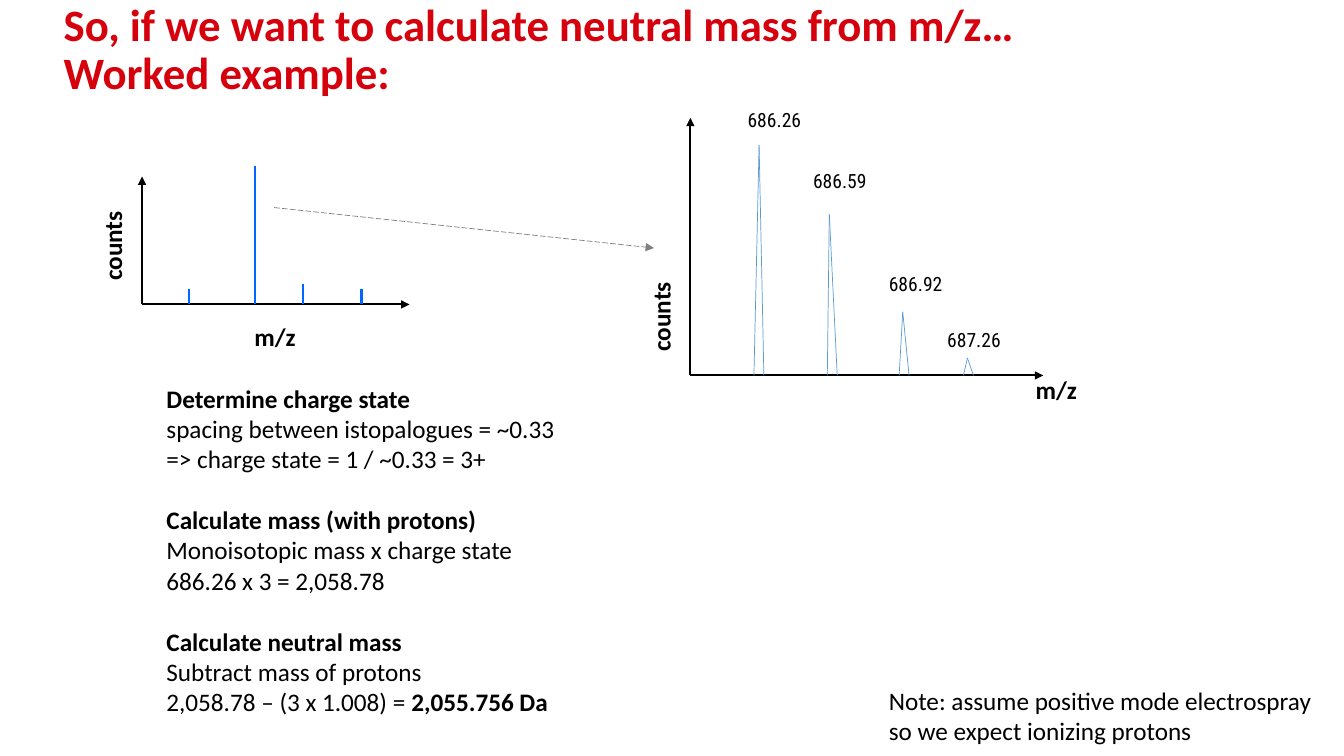
from pptx import Presentation
from pptx.dml.color import RGBColor
from pptx.enum.dml import MSO_LINE_DASH_STYLE as Dash
from pptx.enum.shapes import MSO_CONNECTOR as Link
from pptx.enum.text import MSO_ANCHOR as Anchor, MSO_AUTO_SIZE as Fit, PP_ALIGN as Align
from pptx.oxml.ns import qn
from pptx.util import Cm, Pt
from lxml.etree import SubElement as Sub

BLACK, RED, GREY = "000000", "D6000D", "808080"
BLUE, PALE = "0066FF", "5B9BD5"
PLAIN = {"name": "Calibri", "size": Pt(18), "bold": False}
BOLD = {**PLAIN, "bold": True}
HEAD = {**BOLD, "size": Pt(32)}
TAG = {**PLAIN, "name": "Roboto Condensed", "size": Pt(14)}

# offset from the axis, height
BARS = [(1.19, 0.38), (2.84, 3.48), (4.06, 0.51), (5.53, 0.38)]
# mass, left foot, apex, height, label offset from the plot corner
PEAKS = [
    ("686.26", 1.6, 1.73, 5.8, 1.19, -0.38),
    ("686.59", 3.45, 3.5, 4.06, 2.84, 1.17),
    ("686.92", 5.26, 5.35, 1.6, 4.75, 3.76),
    ("687.26", 6.88, 6.98, 0.44, 6.22, 5.16),
]
FOOT = 0.25
STEPS = [
    ("Determine charge state", "spacing between istopalogues = ~0.33",
     "=> charge state = 1 / ~0.33 = 3+", ""),
    ("Calculate mass (with protons)", "Monoisotopic mass x charge state",
     "686.26 x 3 = 2,058.78", ""),
    ("Calculate neutral mass", "Subtract mass of protons",
     "2,058.78 – (3 x 1.008) = ", "2,055.756 Da"),
]


def paint(hue):
    return RGBColor.from_string(hue)


def place(shape, *box):
    for side, value in zip(("left", "top", "width", "height"), box):
        setattr(shape, side, Cm(value))


def write(para, text, form, hue=BLACK):
    run = para.add_run()
    run.text = text
    for key, value in form.items():
        setattr(run.font, key, value)
    run.font.color.rgb = paint(hue)


def label(slide, text, form, box, wrap=True, turn=0):
    shape = slide.shapes.add_textbox(*map(Cm, box))
    shape.rotation = turn
    frame = shape.text_frame
    frame.word_wrap = wrap
    write(frame.paragraphs[0], text, form)
    return frame.paragraphs[0]


def line(slide, start, end, hue, width=1.5, arrow=False):
    link = slide.shapes.add_connector(Link.STRAIGHT, *map(Cm, (*start, *end)))
    link.line.color.rgb = paint(hue)
    link.line.width = Pt(width)
    if arrow:
        Sub(link.line._get_or_add_ln(), qn("a:tailEnd"), type="triangle")
    Sub(link._element.spPr, qn("a:effectLst"))
    return link


def axes(slide, box, unit, count):
    """Draw both axes; unit and count are the centres of their names."""
    x, y, w, h = box
    base = y + h
    line(slide, (x, base), (x + w, base), BLACK, arrow=True)
    line(slide, (x, base), (x, y), BLACK, arrow=True)
    for text, wide, turn, (dx, dy) in (("m/z", 1.57, 0, unit), ("counts", 2.62, 270, count)):
        spot = (x + dx - wide / 2, y + dy - 0.51, wide, 1.02)
        label(slide, text, BOLD, spot, False, turn).alignment = Align.CENTER


def survey(slide, box):
    x, y, w, h = box
    axes(slide, box, (3.35, 4.04), (-0.75, 1.75))
    for dx, high in BARS:
        line(slide, (x + dx, y + h), (x + dx, y + h - high), BLUE)


def zoom(slide, box):
    x, y, w, h = box
    axes(slide, box, (9.22, 6.86), (-0.75, 5.01))
    for mass, foot, tip, high, dx, dy in PEAKS:
        for start in (foot, foot + FOOT):
            line(slide, (x + start, y + h), (x + tip, y + h - high), PALE, 0.5)
        label(slide, mass, TAG, (x + dx, y + dy, 3, 0.86))


def title(slide, box):
    shape = slide.shapes.title
    place(shape, *box)
    frame = shape.text_frame
    frame.auto_size, frame.vertical_anchor = Fit.NONE, Anchor.MIDDLE
    rows = "So, if we want to calculate neutral mass from m/z…", "Worked example:"
    for i, text in enumerate(rows):
        para = frame.add_paragraph() if i else frame.paragraphs[0]
        para.alignment, para.line_spacing = Align.LEFT, 0.9
        write(para, text, HEAD, RED)


def steps(slide, box):
    shape = slide.placeholders[1]
    place(shape, *box)
    frame = shape.text_frame
    frame.auto_size, frame.vertical_anchor = Fit.NONE, Anchor.TOP
    for i, (head, how, sum_, end) in enumerate(STEPS):
        for j, text in enumerate((head, how, sum_)):
            para = frame.add_paragraph() if i or j else frame.paragraphs[0]
            para.space_before = Pt(22 if i and not j else 0)
            props = para._p.get_or_add_pPr()
            for key in ("marL", "indent"):
                props.set(key, "0")
            Sub(props, qn("a:buNone"))
            write(para, text, PLAIN if j else BOLD)
        if end:
            write(para, end, BOLD)


def main():
    deck = Presentation()
    deck.slide_width, deck.slide_height = Cm(33.87), Cm(19.05)
    slide = deck.slides.add_slide(deck.slide_layouts[1])
    title(slide, (1.35, 0.1, 27.53, 2.36))
    survey(slide, (3.58, 4.45, 6.74, 3.22))
    zoom(slide, (17.4, 2.97, 8.89, 6.49))
    link = line(slide, (6.91, 5.23), (16.48, 6.25), GREY, 0.5, True)
    link.line.dash_style = Dash.LONG_DASH
    steps(slide, (3.94, 9.52, 14.63, 8.71))
    note = "Note: assume positive mode electrospray so we expect ionizing protons"
    label(slide, note, PLAIN, (22.15, 17.15, 11.72, 1.8))
    deck.save("out.pptx")


if __name__ == "__main__":
    main()
